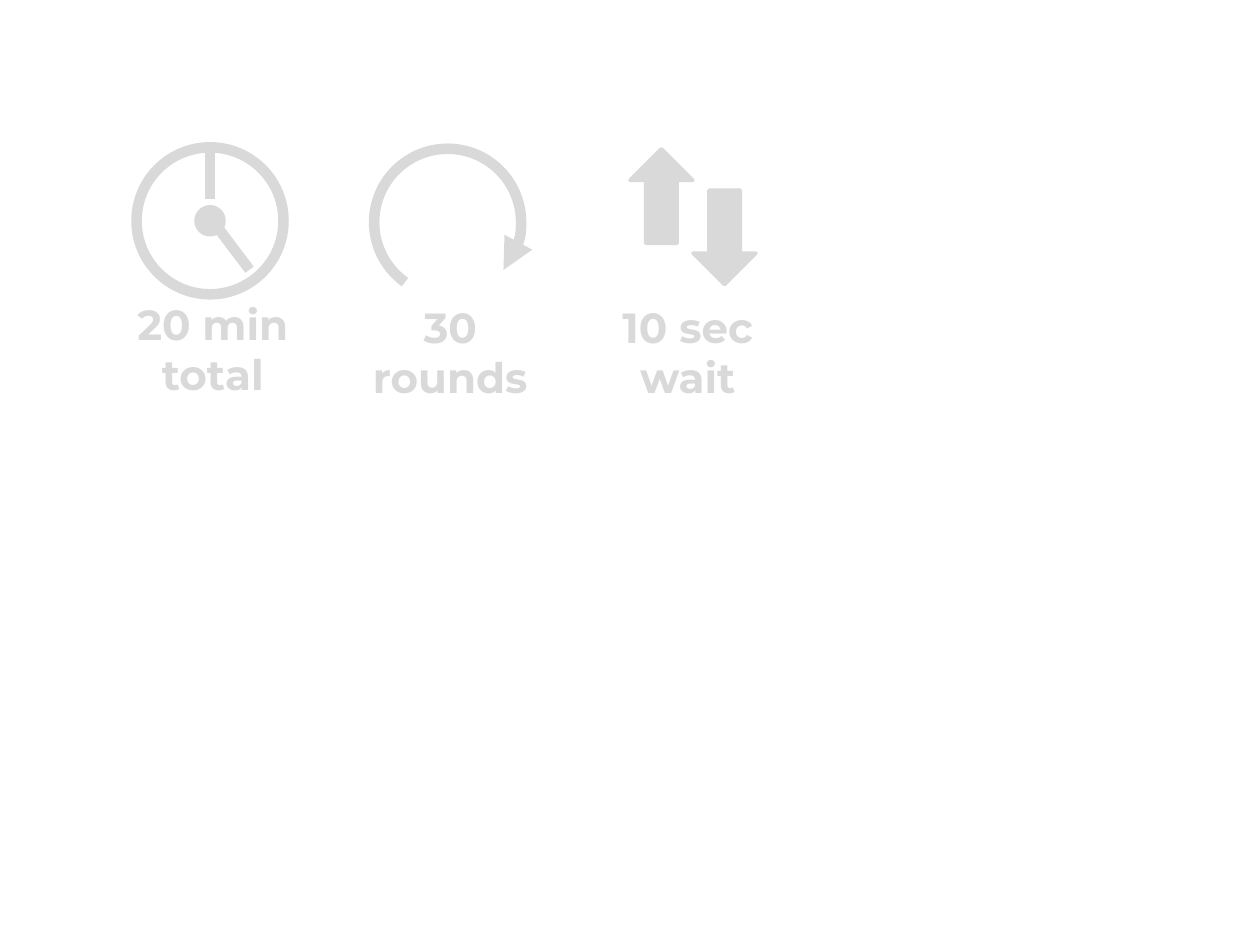
from dataclasses import dataclass

from lxml.etree import SubElement
from pptx import Presentation
from pptx.dml.color import RGBColor
from pptx.enum.shapes import MSO_CONNECTOR, MSO_SHAPE
from pptx.enum.text import MSO_AUTO_SIZE, PP_ALIGN
from pptx.oxml.ns import qn
from pptx.util import Pt


@dataclass(frozen=True)
class Theme:
    gray: RGBColor = RGBColor(0xD9, 0xD9, 0xD9)
    font: str = "Montserrat"
    label_size: int = 24
    stroke: int = 6
    arrow_stroke: int = 2


THEME = Theme()

LABELS = [
    (("20 min", "total"), 167, 103.7),
    (("30", "rounds"), 168.5, 105.1),
    (("10 sec", "wait"), 168.5, 102.2),
]
FIRST_LABEL_CENTER, LABEL_PITCH, LABEL_HEIGHT = 121.6, 135.7, 65.5

DIAL_CENTER_X, DIAL_CENTER_Y = 120, 126.2
DIAL_SIZE, HUB_SIZE = 84, 12
CLOCK_HANDS = [(120, 84.2, 120, 113.8), (124.6, 130.3, 142.6, 154.1)]

ROUNDS_LEFT, ROUNDS_TOP = 213.8, 85
ARC_DEGREES = (125.41, 40.54)
ADJUSTMENT_PER_DEGREE = 0.6

ARROW_WIDTH, ARROW_HEIGHT = 36, 54
ARROWS = [(360, 85, 0), (396, 108.7, 180)]


def add_gray_shape(slide, preset, left, top, width, height, stroke, filled):
    shape = slide.shapes.add_shape(preset, Pt(left), Pt(top), Pt(width), Pt(height))
    shape.shadow.inherit = False
    if filled:
        shape.fill.solid()
        shape.fill.fore_color.rgb = THEME.gray
    else:
        shape.fill.background()
    shape.line.color.rgb = THEME.gray
    shape.line.width = Pt(stroke)
    return shape


def add_centered_circle(slide, size, filled):
    add_gray_shape(slide, MSO_SHAPE.OVAL, DIAL_CENTER_X - size / 2,
                   DIAL_CENTER_Y - size / 2, size, size, THEME.stroke, filled)


def add_clock(slide):
    add_centered_circle(slide, DIAL_SIZE, False)
    for points in CLOCK_HANDS:
        hand = slide.shapes.add_connector(MSO_CONNECTOR.STRAIGHT, *map(Pt, points))
        hand.line.color.rgb = THEME.gray
        hand.line.width = Pt(THEME.stroke)
        SubElement(hand._element.spPr, qn("a:effectLst"))
    add_centered_circle(slide, HUB_SIZE, True)


def add_round_arrow(slide):
    arc = add_gray_shape(slide, MSO_SHAPE.ARC, ROUNDS_LEFT, ROUNDS_TOP,
                         DIAL_SIZE, DIAL_SIZE, THEME.stroke, False)
    for index, degrees in enumerate(ARC_DEGREES):
        arc.adjustments[index] = degrees * ADJUSTMENT_PER_DEGREE
    SubElement(arc.line._get_or_add_ln(), qn("a:tailEnd"), type="triangle")


def add_label(slide, lines, center, top, width):
    box = slide.shapes.add_textbox(Pt(center - width / 2), Pt(top), Pt(width), Pt(LABEL_HEIGHT))
    frame = box.text_frame
    frame.word_wrap = False
    frame.auto_size = MSO_AUTO_SIZE.SHAPE_TO_FIT_TEXT
    frame.text = "\n".join(lines)
    for paragraph in frame.paragraphs:
        paragraph.alignment = PP_ALIGN.CENTER
        paragraph.font.name = THEME.font
        paragraph.font.size = Pt(THEME.label_size)
        paragraph.font.bold = True
        paragraph.font.color.rgb = THEME.gray


def main():
    presentation = Presentation()
    presentation.slide_width, presentation.slide_height = Pt(720), Pt(540)
    slide = presentation.slides.add_slide(presentation.slide_layouts[6])
    add_clock(slide)
    add_round_arrow(slide)
    for left, top, rotation in ARROWS:
        arrow = add_gray_shape(slide, MSO_SHAPE.UP_ARROW, left, top, ARROW_WIDTH,
                               ARROW_HEIGHT, THEME.arrow_stroke, True)
        arrow.rotation = rotation
    for index, (lines, top, width) in enumerate(LABELS):
        add_label(slide, lines, FIRST_LABEL_CENTER + index * LABEL_PITCH, top, width)
    presentation.save("out.pptx")


if __name__ == "__main__":
    main()
